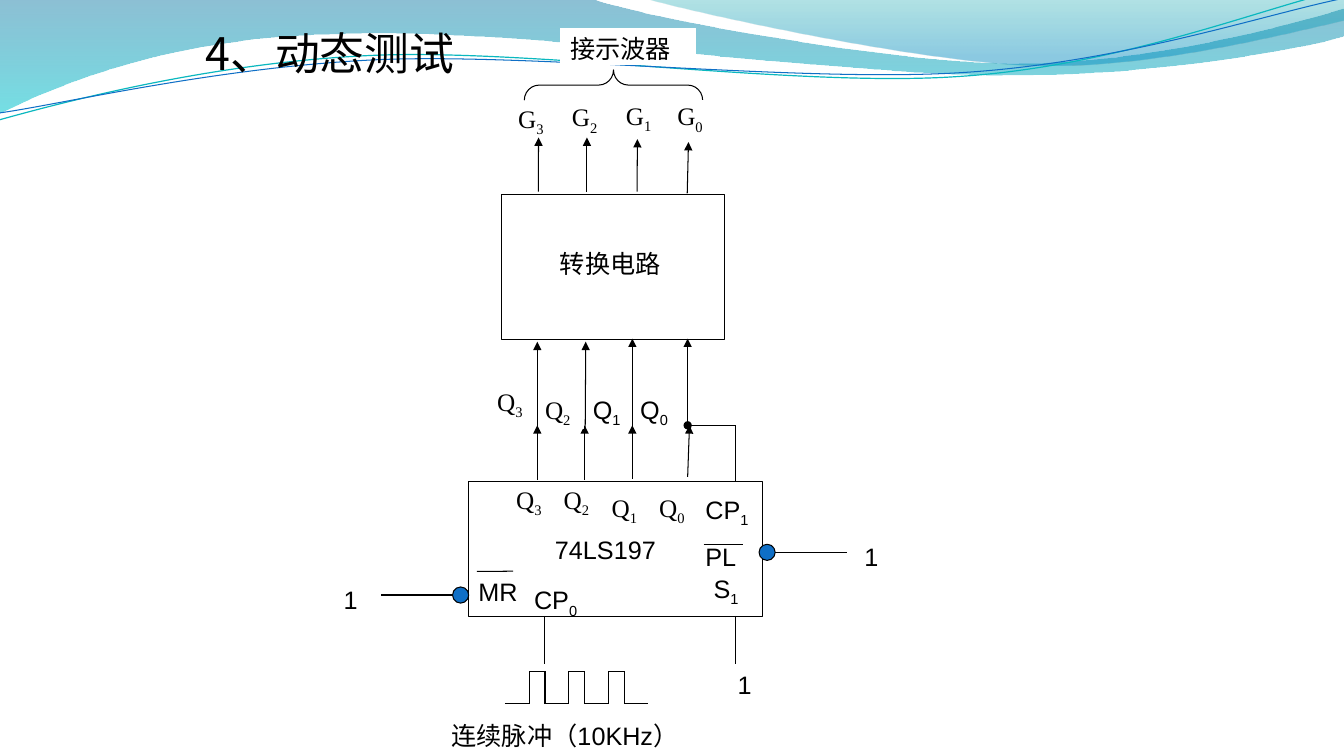
"""Build the slide on dynamic testing of a Gray code converter driven by a counter."""
from math import cos, radians, sin
from lxml.etree import SubElement
from pptx import Presentation
from pptx.dml.color import RGBColor
from pptx.enum.shapes import MSO_CONNECTOR, MSO_SHAPE
from pptx.enum.text import MSO_ANCHOR, MSO_AUTO_SIZE, PP_ALIGN
from pptx.oxml.ns import qn
from pptx.util import Pt

SERIF, SANS, CJK = "Times New Roman", "Arial", "Noto Sans CJK SC"
BLACK, WHITE, BLUE = "000000", "FFFFFF", "0F6FC6"
STRAIGHT = MSO_CONNECTOR.STRAIGHT


def paint(shape, fill, line, weight=0.75):
    shape.shadow.inherit = False
    for part, color in ((shape.fill, fill), (shape.line.fill, line)):
        if color:
            part.solid()
            part.fore_color.rgb = RGBColor.from_string(color)
        else:
            part.background()
    if line:
        shape.line.width = Pt(weight)


def label(text, sub, box, font, size=18, boxed=False, inset=True):
    place = [Pt(v) for v in box]
    if boxed:
        holder = shapes.add_shape(MSO_SHAPE.RECTANGLE, *place)
        paint(holder, WHITE, WHITE)
    else:
        holder = shapes.add_textbox(*place)
        holder.text_frame.auto_size = MSO_AUTO_SIZE.SHAPE_TO_FIT_TEXT
    frame = holder.text_frame
    frame.word_wrap = True
    frame.vertical_anchor = MSO_ANCHOR.TOP
    if not inset:
        frame.margin_left = frame.margin_right = frame.margin_top = frame.margin_bottom = 0
    line = frame.paragraphs[0]
    line.text = text
    line.alignment = PP_ALIGN.JUSTIFY if boxed else PP_ALIGN.LEFT
    if sub:
        lowered = line.add_run()
        lowered.text = sub
        lowered.font._element.set("baseline", "-25000")
    for run in line.runs:
        run.font.size = Pt(size)
        run.font.name = font
        run.font.color.rgb = RGBColor.from_string(BLACK)
        SubElement(run.font._element, qn("a:ea")).set("typeface", CJK)


prs = Presentation()
prs.slide_width, prs.slide_height = Pt(960), Pt(540)
shapes = prs.slides.add_slide(prs.slide_layouts[6]).shapes

waves = [
    ((0, 0), [(422.6, -0.7), (456.5, 12.2, 637.2, 45.4, 727.9, 45.4),
              (819.4, 45.4, 920.2, 18.7, 959.8, 6.5), (961.2, 25.9),
              (943.9, 31.7, 835.2, 54.7, 715.7, 54),
              (596.9, 54, 366.5, 20.2, 247, 24.5),
              (123.8, 25.9, 43.9, 59.8, -0.7, 81.4), (0, 0)],
     [(0, "0074A1", 45), (1, "00C6CF", 55)], None, 0, 0),
    ((460.1, -0.7), [(488.9, 7.9, 654.5, 44.6, 738, 46.8),
                     (821.5, 49.7, 923, 23, 959.8, 15.1), (959.8, 0), (460.1, -0.7)],
     [(0, "00A1A9", 30), (0.8, "008BBF", 45)], None, 0, 0),
    ((-0.7, 85.7), [(46.1, 72.7, 151.9, 44.6, 265.7, 39.6),
                    (379.4, 34.6, 568.8, 62.6, 684, 54.7),
                    (799.2, 47.5, 901.4, 5.8, 958.3, -7.2)],
     None, "0AB8BF", 0.85, 2.7),
    ((0, 80.6), [(45.4, 74.2, 157, 47.5, 272.2, 42.5),
                 (386.6, 38.2, 573.1, 59, 687.6, 51.8),
                 (802.8, 44.6, 903.6, 10.1, 960.5, -1.4)],
     None, BLUE, 0.75, 2.7),
]
for start, segments, stops, stroke, weight, tilt in waves:
    points = [start]
    for segment in segments:
        points += zip(segment[::2], segment[1::2])
    middle_x, middle_y = 479.3, 42
    turn = radians(tilt)
    points = [(Pt(middle_x + (x - middle_x) * cos(turn) - (y - middle_y) * sin(turn)),
               Pt(middle_y + (x - middle_x) * sin(turn) + (y - middle_y) * cos(turn)))
              for x, y in points]
    outline = shapes.build_freeform(*points[0])
    outline.add_line_segments(points[1:], close=bool(stops))
    wave = outline.convert_to_shape()
    wave.rotation = -tilt
    steps = iter(wave._element.spPr.findall(".//" + qn("a:lnTo")))
    for segment in segments:
        step = next(steps)
        if len(segment) == 6:
            step.tag = qn("a:cubicBezTo")
            for control in (next(steps), next(steps)):
                step.append(control[0])
                control.getparent().remove(control)
    paint(wave, None, stroke, weight)
    if stops:
        wave.fill.gradient()
        wave.fill.gradient_angle = 270
        for stop, (position, color, opacity) in zip(wave.fill.gradient_stops, stops):
            stop.position = position
            stop.color.rgb = RGBColor.from_string(color)
        tints = wave._element.spPr.findall(".//" + qn("a:srgbClr"))
        for tint, (position, color, opacity) in zip(tints, stops):
            SubElement(tint, qn("a:alpha")).set("val", str(opacity * 1000))

for kind, fill, box in (
    (MSO_SHAPE.RECTANGLE, WHITE, (358.1, 139, 159.3, 103.7)),
    (MSO_SHAPE.RECTANGLE, WHITE, (334.8, 343.8, 209.8, 96.5)),
    (MSO_SHAPE.OVAL, BLUE, (323.3, 419.3, 11.5, 11.5)),
    (MSO_SHAPE.OVAL, BLUE, (542.2, 388.8, 11.5, 11.5)),
):
    paint(shapes.add_shape(kind, *[Pt(v) for v in box]), fill, BLACK)

brace = shapes.add_shape(MSO_SHAPE.LEFT_BRACE, Pt(427.4), Pt(-2.9), Pt(21.6), Pt(127.4))
brace.rotation = 90
brace.adjustments[0] = 0.494
paint(brace, None, BLACK)

arrows = [
    (384.5, 136.8, 384.7, 98.2), (419.3, 136.8, 419.3, 98.2),
    (455.1, 136.8, 455.3, 99.4), (490.9, 138.2, 491.8, 101.5),
    (383.8, 308.2, 383.8, 244.1), (418, 308.2, 418.4, 244.1),
    (451.7, 306, 451.7, 241.9), (491.2, 306.7, 491.2, 241.9),
    (383.8, 342.7, 383.8, 303.8), (417.6, 342.7, 417.6, 303.8),
    (451.7, 342, 451.7, 303.8), (491.2, 340.6, 492.5, 303.8),
]
leads = [
    (272.2, 425, 323.3, 425), (553.7, 394.6, 604.8, 394.6),
    (340.6, 408.2, 366.5, 408.0), (502.6, 388.8, 531, 388.8),
    (389.2, 440, 389.2, 474.5), (525.6, 440, 525.6, 474.5),
    (525.6, 343.4, 525.6, 303.8), (360.7, 502.6, 378, 502.6),
]
for pulse in range(3):
    rise = 378 + 28.3 * pulse
    fall = rise + 11.3
    leads += [(rise, 479.5, rise, 502.6), (rise, 479.5, fall, 479.5),
              (fall, 479.5, fall, 502.6), (fall, 502.6, rise + 28.3, 502.6)]
junction = [(491.2, 303.8, 525.6, 303.8)]
for wires, end, head in ((arrows, "a:tailEnd", "triangle"), (leads, None, None),
                         (junction, "a:headEnd", "oval")):
    for ends in wires:
        wire = shapes.add_connector(STRAIGHT, *[Pt(v) for v in ends])
        wire.line.width = Pt(0.75)
        wire.line.color.rgb = RGBColor.from_string(BLACK)
        if end:
            SubElement(wire.line._get_or_add_ln(), qn(end)).set("type", head)
        SubElement(wire._element.spPr, qn("a:effectLst"))

for letter, bit, box, font in (
    ("G", "3", (370.1, 73.8, 25.2, 17.3), SERIF),
    ("G", "2", (408.5, 72.7, 25.9, 23.8), SERIF),
    ("G", "1", (447.1, 71.5, 27.4, 25.2), SERIF),
    ("G", "0", (483.8, 72, 24.5, 19.4), SERIF),
    ("Q", "3", (355.2, 275.8, 24.5, 21.6), SERIF),
    ("Q", "2", (389.3, 281.5, 27.4, 24.5), SERIF),
    ("Q", "1", (423.4, 281.5, 23, 27.4), SANS),
    ("Q", "0", (457.3, 281.5, 26.6, 20.9), SANS),
    ("Q", "3", (368.7, 345.6, 28.1, 23), SERIF),
    ("Q", "2", (402.7, 345.6, 25.9, 23.8), SERIF),
    ("Q", "1", (436.9, 351.4, 26.6, 25.2), SERIF),
    ("Q", "0", (470.9, 351.4, 31.7, 25.2), SERIF),
):
    label(letter, bit, box, font, boxed=True, inset=False)

for name, box, font in (
    ("转换电路", (392.9, 173.5, 90.9, 36.7), SERIF),
    ("接示波器", (400.3, 20.2, 96.7, 25.9), SERIF),
    ("74LS197", (389.3, 377.8, 90.9, 36.7), SANS),
):
    label(name, "", box, font, boxed=True)

for name, sub, left, top, width in (
    ("CP", "0", 374.4, 414, 54.7), ("CP", "1", 496.8, 349.2, 54.7),
    ("MR", "", 334.6, 408.2, 46.8), ("PL", "", 496.8, 383, 39.6),
    ("S", "1", 502.6, 406.1, 39.6), ("1", "", 238.3, 414, 28.1),
    ("1", "", 610.4, 383, 28.1), ("1", "", 519.8, 474.3, 28.1),
    ("连续脉冲（10KHz）", "", 315.4, 511.2, 334.8),
):
    label(name, sub, (left, top, width, 28.8), SANS)
label("4、动态测试", "", (139.7, 15.1, 200.9, 46.1), CJK, size=32)

prs.save("out.pptx")
